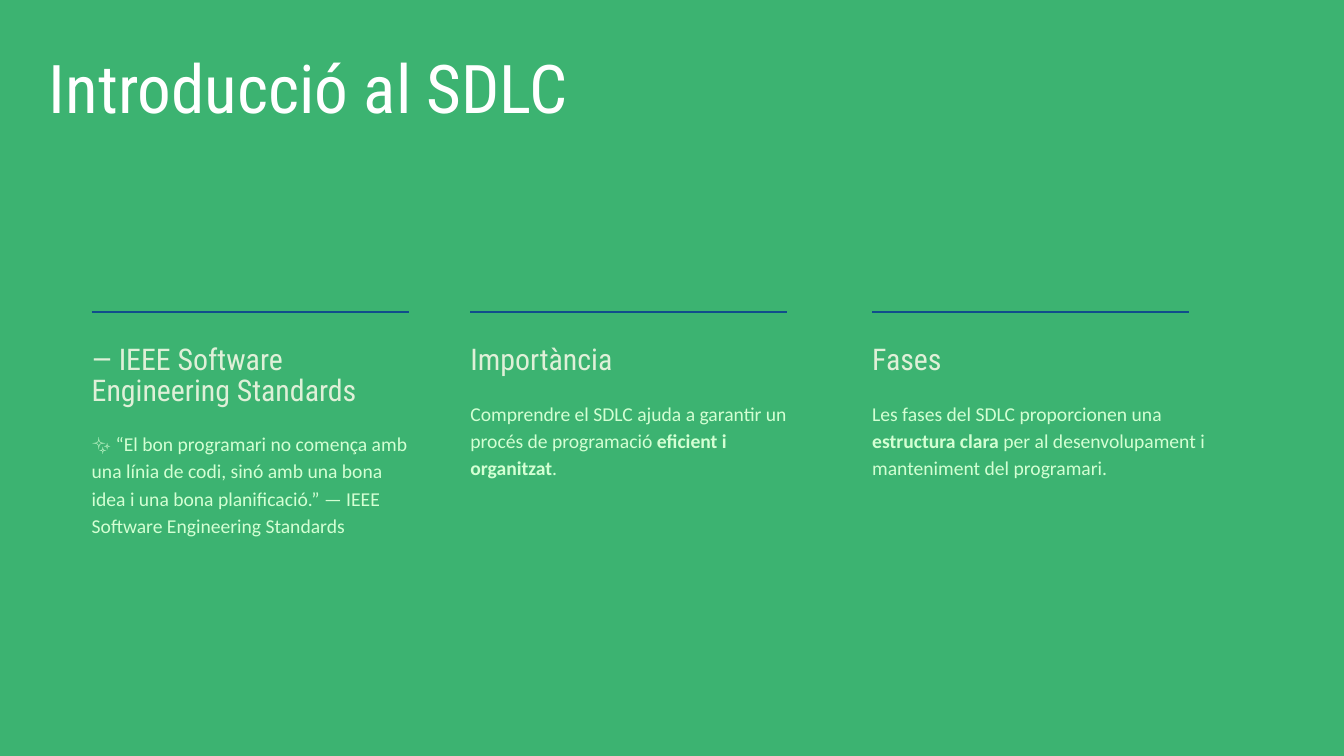
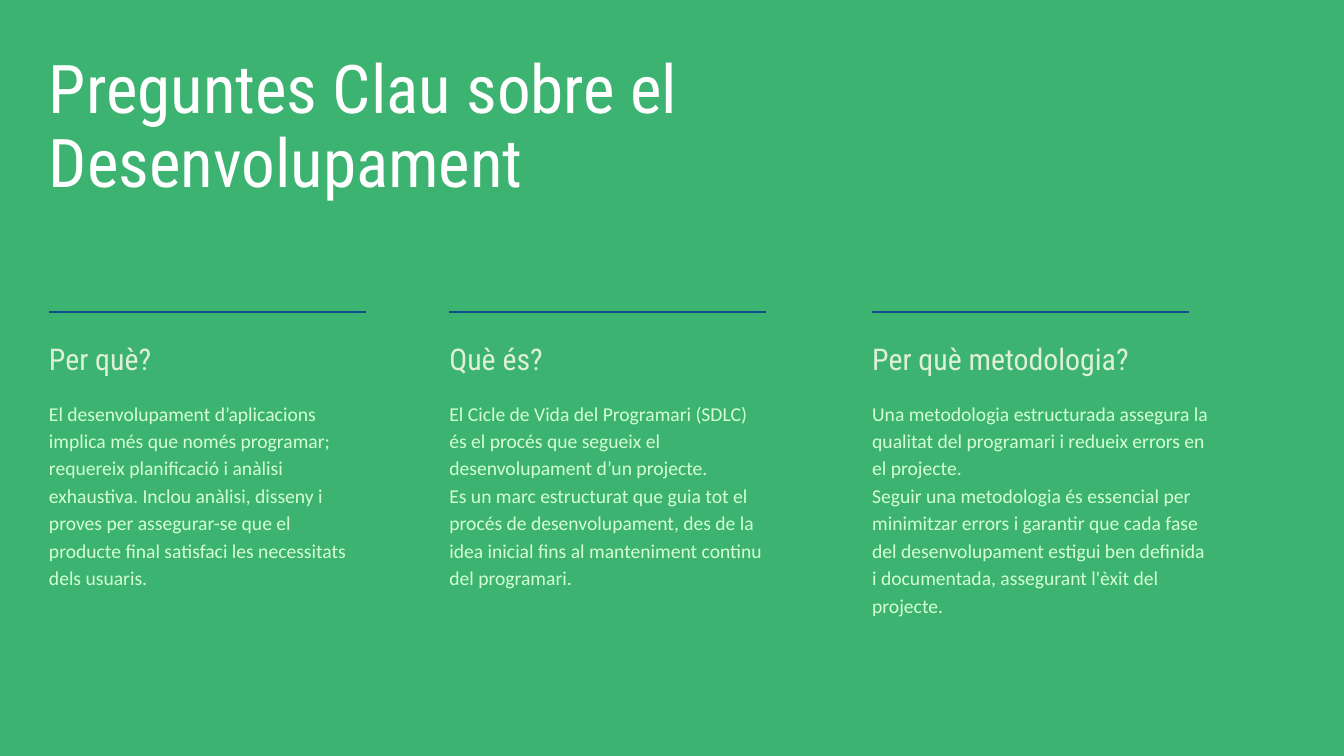
"""Build two slides on the software development life cycle."""
import pptx
import pptx.dml.color
import pptx.enum.shapes
import pptx.enum.text
import pptx.oxml.ns
import pptx.util
from lxml import etree

PX = 9525
SLIDE_WIDTH, SLIDE_HEIGHT = 1920, 1080
BACKGROUND, RULE_COLOR = "3CB371", "104E8B"
TITLE_LEFT, TITLE_TOP, TITLE_WIDTH = 70, 76, 1176
RULE_TOP, RULE_WIDTH = 446, 453
HEADING_TOP, HEADING_GAP = 493, 28

STYLES = {
    "title": {"name": "Roboto Condensed", "size": 72, "color": "FFFFFF",
              "spacing": 79.2, "line": 106, "extra": 2},
    "heading": {"name": "Roboto Condensed", "size": 32, "color": "DFF0D8",
                "spacing": 33.6, "line": 43, "extra": 4},
    "body": {"name": "Calibri", "size": 21, "color": "D3FFD3",
             "spacing": 29.4, "line": 39, "extra": -2},
}

SLIDES = [
    {"title": "Introducció al SDLC", "title_lines": 1, "columns": [
        {"left": 131, "width": 453, "heading": "— IEEE Software Engineering Standards",
         "heading_lines": 2, "body_lines": 5,
         "body": ["✨ “El bon programari no comença amb una línia de codi, sinó amb una "
                  "bona idea i una bona planificació.” — IEEE Software Engineering "
                  "Standards"]},
        {"left": 672, "width": 453, "heading": "Importància",
         "heading_lines": 1, "body_lines": 3,
         "body": ["Comprendre el SDLC ajuda a garantir un procés de programació "
                  "**eficient i organitzat**."]},
        {"left": 1246, "width": 485, "heading": "Fases",
         "heading_lines": 1, "body_lines": 4,
         "body": ["Les fases del SDLC proporcionen una **estructura clara** per al "
                  "desenvolupament i manteniment del programari."]},
    ]},
    {"title": "Preguntes Clau sobre el Desenvolupament", "title_lines": 2, "columns": [
        {"left": 70, "width": 453, "heading": "Per què?",
         "heading_lines": 1, "body_lines": 7,
         "body": ["El desenvolupament d’aplicacions implica més que només programar; "
                  "requereix planificació i anàlisi exhaustiva. Inclou anàlisi, disseny "
                  "i proves per assegurar-se que el producte final satisfaci les "
                  "necessitats dels usuaris."]},
        {"left": 642, "width": 453, "heading": "Què és?",
         "heading_lines": 1, "body_lines": 7,
         "body": ["El Cicle de Vida del Programari (SDLC) és el procés que segueix el "
                  "desenvolupament d’un projecte.",
                  "Es un marc estructurat que guia tot el procés de desenvolupament, des "
                  "de la idea inicial fins al manteniment continu del programari."]},
        {"left": 1246, "width": 485, "heading": "Per què metodologia?",
         "heading_lines": 1, "body_lines": 8,
         "body": ["Una metodologia estructurada assegura la qualitat del programari i "
                  "redueix errors en el projecte.",
                  "Seguir una metodologia és essencial per minimitzar errors i garantir "
                  "que cada fase del desenvolupament estigui ben definida i documentada, "
                  "assegurant l'èxit del projecte."]},
    ]},
]


def rgb(hex_color):
    """Turn a hex string into a colour."""
    return pptx.dml.color.RGBColor.from_string(hex_color)


def apply(target, values):
    """Set each attribute named in a dict."""
    for name, value in values.items():
        setattr(target, name, value)


def add_text(shapes, role, left, top, width, lines, paragraphs):
    """Add text in a shared style, with ** around bold words, and return its bottom."""
    style = STYLES[role]
    height = style["line"] * lines + style["extra"]
    box = shapes.add_textbox(left * PX, top * PX, width * PX, height * PX)
    frame = box.text_frame
    apply(frame, {"margin_left": 0, "margin_top": 0, "margin_right": 0,
                  "margin_bottom": 0, "word_wrap": True,
                  "auto_size": pptx.enum.text.MSO_AUTO_SIZE.SHAPE_TO_FIT_TEXT})
    for index, text in enumerate(paragraphs):
        paragraph = frame.add_paragraph() if index else frame.paragraphs[0]
        paragraph.line_spacing = pptx.util.Pt(style["spacing"])
        for part, words in enumerate(text.split("**")):
            run = paragraph.add_run()
            run.text = words
            apply(run.font, {"name": style["name"], "bold": part % 2 == 1,
                             "size": pptx.util.Pt(style["size"])})
            run.font.color.rgb = rgb(style["color"])
    return top + height


def add_rule(shapes, left):
    """Add the thin line above a column."""
    rule = shapes.add_connector(pptx.enum.shapes.MSO_CONNECTOR.STRAIGHT, left * PX,
                                RULE_TOP * PX, (left + RULE_WIDTH) * PX, RULE_TOP * PX)
    rule.line.color.rgb = rgb(RULE_COLOR)
    rule.line.width = pptx.util.Pt(2)
    etree.SubElement(rule._element.spPr, pptx.oxml.ns.qn("a:effectLst"))


def add_column(slide, column):
    """Add a grouped rule, heading and body."""
    shapes = slide.shapes.add_group_shape().shapes
    left, width = column["left"], column["width"]
    add_rule(shapes, left)
    heading_bottom = add_text(shapes, "heading", left, HEADING_TOP, width,
                              column["heading_lines"], [column["heading"]])
    add_text(shapes, "body", left, heading_bottom + HEADING_GAP, width,
             column["body_lines"], column["body"])


def add_slide(deck, content):
    """Add one slide with its background, title and columns."""
    slide = deck.slides.add_slide(deck.slide_layouts[6])
    slide.background.fill.solid()
    slide.background.fill.fore_color.rgb = rgb(BACKGROUND)
    add_text(slide.shapes, "title", TITLE_LEFT, TITLE_TOP, TITLE_WIDTH,
             content["title_lines"], [content["title"]])
    for column in content["columns"]:
        add_column(slide, column)


def main():
    """Build and save the deck."""
    deck = pptx.Presentation()
    apply(deck, {"slide_width": SLIDE_WIDTH * PX, "slide_height": SLIDE_HEIGHT * PX})
    for content in SLIDES:
        add_slide(deck, content)
    deck.save("out.pptx")


if __name__ == "__main__":
    main()
